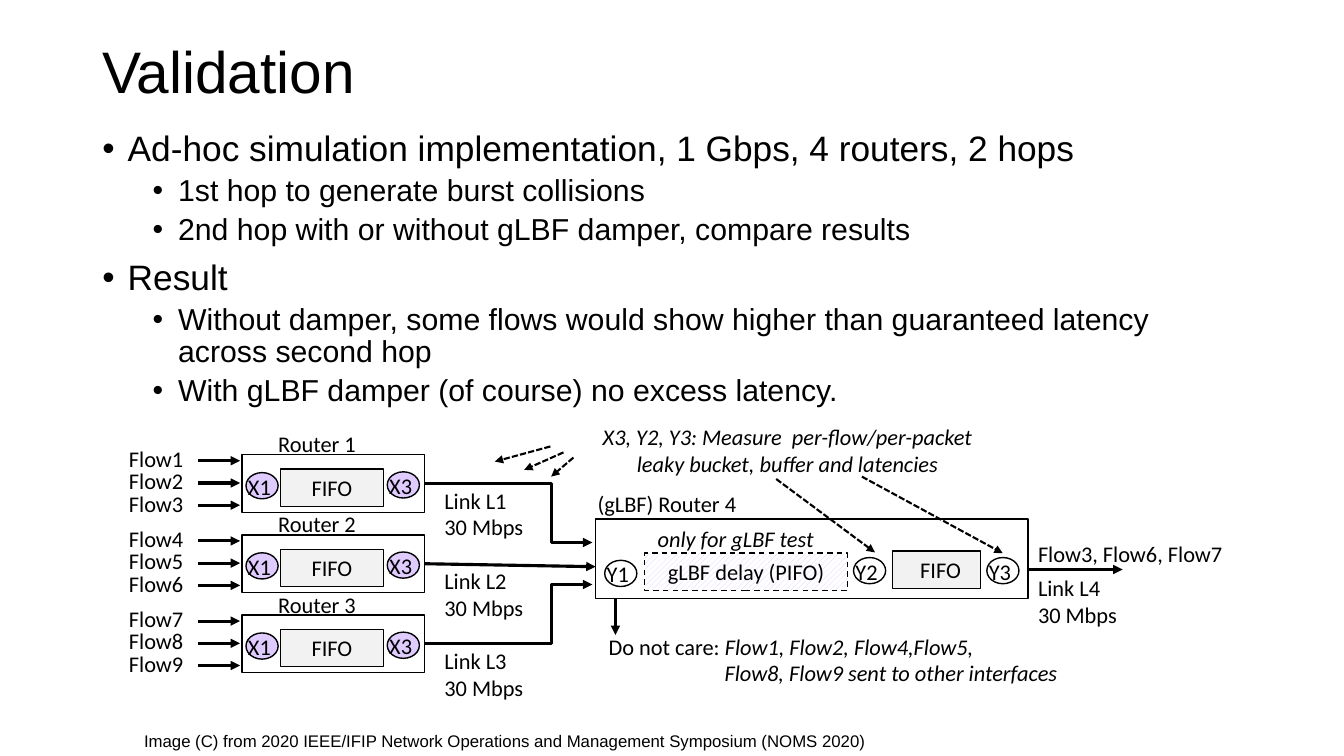
from lxml.etree import SubElement
from pptx import Presentation
from pptx.dml.color import RGBColor
from pptx.enum.dml import MSO_LINE, MSO_PATTERN
from pptx.enum.shapes import MSO_CONNECTOR, MSO_SHAPE
from pptx.enum.text import MSO_ANCHOR, PP_ALIGN
from pptx.oxml.ns import qn
from pptx.util import Cm, Pt

BLACK, WHITE, GREY, LILAC = "000000", "FFFFFF", "F2F2F2", "E0CBFF"
MARKER_WIDTH, MARKER_HEIGHT = 0.81, 0.66
LABEL_HEIGHT, TWO_LINES = 0.94, 1.6


def color(value):
    """Turn a hex string into a colour."""
    return RGBColor.from_string(value)


def write(paragraph, text, size=16, font="Calibri", italic=False):
    """Add a formatted run of text to a paragraph."""
    run = paragraph.add_run()
    run.text = text
    run.font.size = Pt(size)
    run.font.name = font
    run.font.italic = italic
    run.font.color.rgb = color(BLACK)


def add_text(slide, box, *lines, align=PP_ALIGN.LEFT, wrap=True, **text_format):
    """Place a text box with one paragraph for each line."""
    shape = slide.shapes.add_textbox(*map(Cm, box))
    frame = shape.text_frame
    frame.word_wrap = wrap
    for index, line in enumerate(lines):
        paragraph = frame.add_paragraph() if index else frame.paragraphs[0]
        paragraph.alignment = align
        write(paragraph, line, **text_format)
    return shape


def add_box(slide, box, kind=MSO_SHAPE.RECTANGLE, fill=None, text="", shift=0):
    """Place an outlined shape, with centred text moved right by shift."""
    shape = slide.shapes.add_shape(kind, *map(Cm, box))
    shape.shadow.inherit = False
    shape.line.color.rgb = color(BLACK)
    shape.line.width = Pt(1)
    if fill:
        shape.fill.solid()
        shape.fill.fore_color.rgb = color(fill)
    else:
        shape.fill.background()
    if text:
        shape.text_frame.margin_left = Cm(0.25 + 2 * shift)
        shape.text_frame.vertical_anchor = MSO_ANCHOR.MIDDLE
        paragraph = shape.text_frame.paragraphs[0]
        paragraph.alignment = PP_ALIGN.CENTER
        write(paragraph, text)
    return shape


def add_arrow(slide, start, end, dashed=False, bend=None):
    """Draw an arrow; bend is the share of its width where an elbow turns."""
    kind = MSO_CONNECTOR.ELBOW if bend else MSO_CONNECTOR.STRAIGHT
    arrow = slide.shapes.add_connector(kind, *map(Cm, (*start, *end)))
    arrow.line.color.rgb = color(BLACK)
    arrow.line.width = Pt(1.5 if dashed else 2.25)
    if dashed:
        arrow.line.dash_style = MSO_LINE.SQUARE_DOT
    properties = arrow._element.spPr
    SubElement(properties.find(qn("a:ln")), qn("a:tailEnd"), type="triangle")
    SubElement(properties, qn("a:effectLst"))
    if bend:
        adjustments = properties.find(qn("a:prstGeom")).get_or_add_avLst()
        SubElement(adjustments, qn("a:gd"), name="adj1", fmla=f"val {round(bend * 100000)}")


def add_marker(slide, left, top, name, fill=None):
    """Place a measuring point: an ellipse with its name."""
    add_box(slide, (left, top, MARKER_WIDTH, MARKER_HEIGHT), MSO_SHAPE.OVAL, fill)
    add_text(slide, (left - 0.2, top - 0.12, 1.5, LABEL_HEIGHT), name)


def add_title(slide, box):
    """Write the slide title."""
    shape = add_text(slide, box, "Validation", size=41.8, font="Arial")
    shape.text_frame.vertical_anchor = MSO_ANCHOR.MIDDLE
    shape.text_frame.paragraphs[0].line_spacing = 0.89


def add_bullets(slide, box, items):
    """Write bulleted (level, text) items."""
    frame = add_text(slide, box).text_frame
    for index, (level, text) in enumerate(items):
        paragraph = frame.add_paragraph() if index else frame.paragraphs[0]
        paragraph.level = level
        paragraph.line_spacing = 0.88
        paragraph.space_before = Pt(5 if level else 10)
        write(paragraph, text, size=21.6 if level else 25.2, font="Arial")
        properties = paragraph._p.get_or_add_pPr()
        properties.set("marL", str(Cm(0.64 + 1.27 * level)))
        properties.set("indent", str(-Cm(0.64)))
        SubElement(properties, qn("a:buFont"), typeface="Arial")
        SubElement(properties, qn("a:buChar"), char="•")


def add_source_router(slide, box, number):
    """Draw a first-hop router with its three flows and its link label."""
    left, top, width, _ = box
    add_text(slide, (left + 0.66, top - 0.74, 2.72, LABEL_HEIGHT), f"Router {number}")
    add_box(slide, box)
    for row in range(3):
        add_text(slide, (left - 3.1, top - 0.38 + 0.57 * row, 2.03, LABEL_HEIGHT),
                 f"Flow{3 * number - 2 + row}")
        height = top + 0.15 + 0.56 * row
        add_arrow(slide, (left - 1.12, height), (left - 0.05, height))
    add_box(slide, (left + 0.97, top + 0.36, 2.59, LABEL_HEIGHT), fill=GREY, text="FIFO")
    add_marker(slide, left + 0.1, top + 0.45, "X1", LILAC)
    add_marker(slide, left + 3.66, top + 0.43, "X3", LILAC)
    add_text(slide, (left + width + 0.25, top + 0.68, 2.74, TWO_LINES),
             f"Link L{number}", "30 Mbps")


def add_damper_router(slide, box):
    """Draw the second-hop router with its damper, queue and outputs."""
    left, top, width, height = box
    right, bottom = left + width, top + height
    add_text(slide, (left - 0.2, top - 0.86, 4.47, LABEL_HEIGHT), "(gLBF) Router 4")
    add_box(slide, box)
    add_text(slide, (left + 1.04, top + 0.03, 4.98, LABEL_HEIGHT), "only for gLBF test",
             align=PP_ALIGN.CENTER, italic=True)
    damper = add_box(slide, (left + 1.24, top + 0.86, 5.11, LABEL_HEIGHT),
                     text="gLBF delay (PIFO)")
    damper.fill.patterned()
    damper.fill.pattern = MSO_PATTERN.WIDE_UPWARD_DIAGONAL
    damper.fill.fore_color.rgb = color(LILAC)
    damper.fill.back_color.rgb = color(WHITE)
    damper.line.dash_style = MSO_LINE.DASH
    add_box(slide, (left + 7.49, top + 0.81, 2.21, LABEL_HEIGHT), fill=GREY,
            text="FIFO", shift=0.1)
    for name, across, down in (("Y1", 0.23, 1.04), ("Y2", 6.5, 0.97), ("Y3", 9.86, 0.97)):
        add_marker(slide, left + across, top + down, name)

    add_arrow(slide, (right, top + 1.27), (right + 2.38, top + 1.27))
    add_text(slide, (right, top + 0.41, 5.8, LABEL_HEIGHT), "Flow3, Flow6, Flow7")
    add_text(slide, (right, top + 1.27, 2.74, TWO_LINES), "Link L4", "30 Mbps")

    add_arrow(slide, (left + 0.5, bottom), (left + 0.5, bottom + 0.92))
    ignored = add_text(slide, (left + 0.08, bottom + 0.74, 13.44, TWO_LINES), "Do not care: ")
    frame = ignored.text_frame
    write(frame.paragraphs[0], "Flow1, Flow2, Flow4,Flow5,", italic=True)
    second = frame.add_paragraph()
    second._p.get_or_add_pPr().set("marL", str(Cm(2.92)))
    write(second, "Flow8, Flow9 sent to other interfaces", italic=True)


def add_measure_note(slide, box):
    """Write the measuring note and point from it to the measuring points."""
    left, top = box[:2]
    add_text(slide, box, "X3, Y2, Y3: Measure  per-flow/per-packet",
             "leaky bucket, buffer and latencies", align=PP_ALIGN.CENTER, italic=True)
    pointers = [
        ((-0.4, 0.71), (-1.8, 1.09)),
        ((-0.07, 0.86), (-1.06, 1.3)),
        ((0.18, 0.99), (-0.38, 1.47)),
        ((5.29, 1.53), (7.78, 3.38)),
        ((7.45, 1.47), (11, 3.4)),
    ]
    for pointer in pointers:
        start, end = ((left + across, top + down) for across, down in pointer)
        add_arrow(slide, start, end, dashed=True)


def add_network(slide, left, top):
    """Draw both hops and the links between them."""
    damper_left, damper_top = left + 8.91, top + 1.62
    links = [(damper_top + 0.59, 0.757), (damper_top + 1.2, None), (damper_top + 1.65, 0.757)]
    for index, (link_end, bend) in enumerate(links):
        router = (left, top + 2.02 * index, 4.6, 1.45)
        add_source_router(slide, router, index + 1)
        start = (left + router[2], router[1] + router[3] / 2)
        add_arrow(slide, start, (damper_left - (0.08 if bend else 0), link_end), bend=bend)
    add_damper_router(slide, (damper_left, damper_top, 10.9, 2))
    add_measure_note(slide, (left + 8.17, top - 0.92, 11.15, TWO_LINES))


presentation = Presentation()
presentation.slide_width, presentation.slide_height = Cm(33.87), Cm(19.05)
slide = presentation.slides.add_slide(presentation.slide_layouts[6])
add_title(slide, (2.33, 1.02, 29.21, 1.73))
add_bullets(slide, (2.33, 3.2, 29.21, 7.11), [
    (0, "Ad-hoc simulation implementation, 1 Gbps, 4 routers, 2 hops"),
    (1, "1st hop to generate burst collisions"),
    (1, "2nd hop with or without gLBF damper, compare results"),
    (0, "Result"),
    (1, "Without damper, some flows would show higher than guaranteed latency across second hop"),
    (1, "With gLBF damper (of course) no excess latency."),
])
add_network(slide, 6.1, 11.46)
add_text(slide, (3.38, 18.29, 18.72, 0.76),
         "Image (C) from 2020 IEEE/IFIP Network Operations and Management Symposium (NOMS 2020)",
         size=12, font="Arial", wrap=False)
presentation.save("out.pptx")
